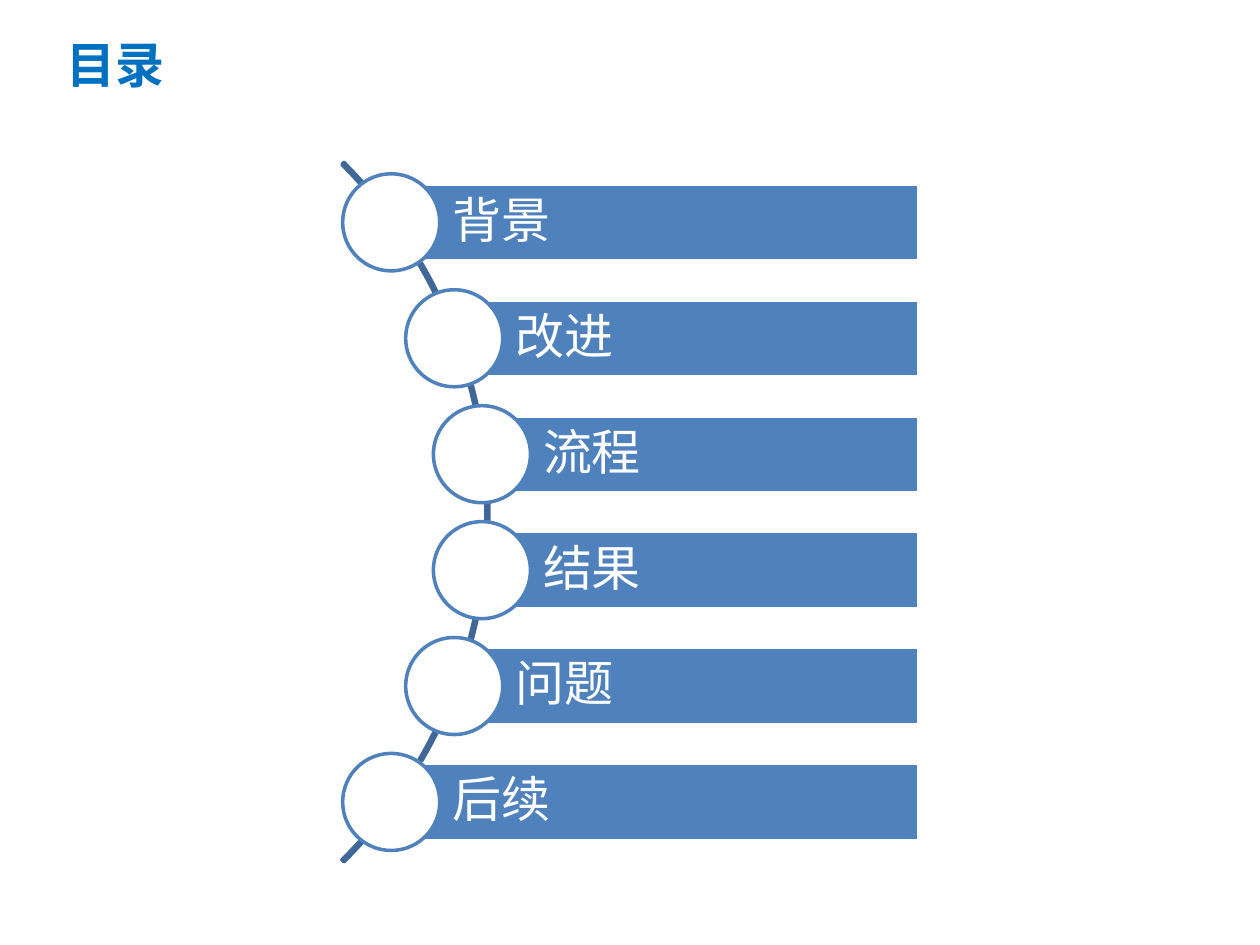
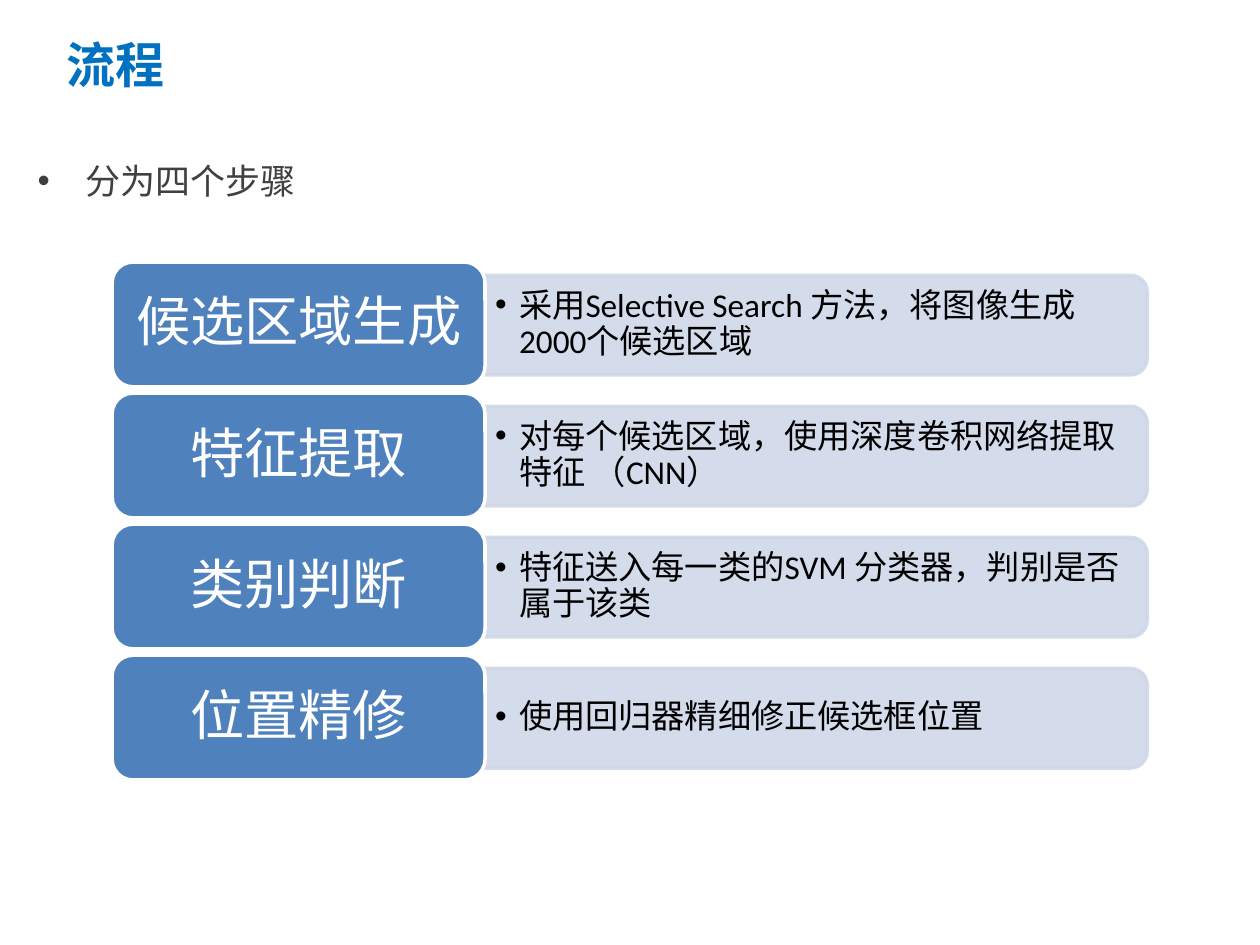
from dataclasses import dataclass
from math import sqrt

from lxml import etree
from pptx import Presentation
from pptx.dml.color import RGBColor
from pptx.enum.shapes import MSO_SHAPE
from pptx.enum.text import MSO_ANCHOR, PP_ALIGN
from pptx.oxml.ns import qn
from pptx.util import Pt

PX = 9144  # EMU in one px, 100 px to the inch
SLIDE_W, SLIDE_H = 1000, 750
COLOURS = {
    "title": "0070C0",
    "accent": "4F81BD",
    "arc": "3F6797",
    "panel": "D0D8E8",
    "body": "404040",
    "white": "FFFFFF",
    "black": "000000",
}
LATIN_FONT, BODY_FONT, CJK_FONT = "Calibri", "Arial", "Noto Sans CJK SC"
LINE_PT = 2

BAR, DISC, ARC = MSO_SHAPE.RECTANGLE, MSO_SHAPE.OVAL, MSO_SHAPE.BLOCK_ARC
LABEL, PANEL = MSO_SHAPE.ROUNDED_RECTANGLE, MSO_SHAPE.ROUND_2_SAME_RECTANGLE
MIDDLE, TOP = MSO_ANCHOR.MIDDLE, MSO_ANCHOR.TOP
LEFT, CENTER = PP_ALIGN.LEFT, PP_ALIGN.CENTER


@dataclass(frozen=True)
class Box:
    left: int
    top: int
    width: int
    height: int

    def emu(self) -> list[int]:
        return [v * PX for v in (self.left, self.top, self.width, self.height)]


@dataclass(frozen=True)
class TextStyle:
    size: int
    colour: str
    font: str = LATIN_FONT
    bold: bool = False
    align: PP_ALIGN = LEFT
    anchor: MSO_ANCHOR = MIDDLE
    insets: tuple[int, int, int, int] = (10, 5, 10, 5)
    spacing: float = 0.9
    bullet_indent: int = 0


@dataclass(frozen=True)
class Step:
    name: str
    detail: str


TITLE = TextStyle(28, "title", CJK_FONT, bold=True, spacing=1.0)
INTRO = TextStyle(20, "body", BODY_FONT, anchor=TOP, spacing=1.0, bullet_indent=38)
TOPIC = TextStyle(28, "white", insets=(49, 8, 8, 8))
STEP_NAME = TextStyle(31, "white", align=CENTER, insets=(6, 6, 6, 6))
STEP_DETAIL = TextStyle(19, "black", insets=(8, 4, 8, 4), bullet_indent=19)

TOPICS = ["背景", "改进", "流程", "结果", "问题", "后续"]
TOPIC_PITCH = 92
BAR_H, BAR_RIGHT = 61, 729
DISC_D = 77
ARC_BOX = Box(-397, 14, 785, 785)
ARC_CENTRE_X, ARC_CENTRE_Y = -4, 406
DISC_ORBIT = 389

STEPS = [
    Step("候选区域生成", "采用Selective Search 方法，将图像生成2000个候选区域"),
    Step("特征提取", "对每个候选区域，使用深度卷积网络提取特征 （CNN）"),
    Step("类别判断", "特征送入每一类的SVM 分类器，判别是否属于该类"),
    Step("位置精修", "使用回归器精细修正候选框位置"),
]
STEP_TOP, STEP_PITCH = 208, 104
LABEL_LEFT, LABEL_W, LABEL_H = 89, 296, 99
PANEL_W, PANEL_H = 526, 79
DETAIL_W, DETAIL_H = 522, 71


def rgb(name: str) -> RGBColor:
    return RGBColor.from_string(COLOURS[name])


def write(shape, text: str, style: TextStyle) -> None:
    frame = shape.text_frame
    frame.word_wrap = True
    frame.vertical_anchor = style.anchor
    (frame.margin_left, frame.margin_top,
     frame.margin_right, frame.margin_bottom) = [v * PX for v in style.insets]
    frame.text = text
    paragraph = frame.paragraphs[0]
    paragraph.alignment = style.align
    paragraph.line_spacing = style.spacing
    if style.bullet_indent:
        add_bullet(paragraph, style.bullet_indent * PX)
    for run in paragraph.runs:
        run.font.size = Pt(style.size)
        run.font.bold = style.bold
        run.font.name = style.font
        run.font.color.rgb = rgb(style.colour)
        east_asian = etree.Element(qn("a:ea"), typeface=CJK_FONT)
        run.font._element.find(qn("a:latin")).addnext(east_asian)


def add_bullet(paragraph, indent: int) -> None:
    """Hang the paragraph by indent EMU behind a round bullet."""
    properties = paragraph._p.get_or_add_pPr()
    properties.set("marL", str(indent))
    properties.set("indent", str(-indent))
    etree.SubElement(properties, qn("a:buFont"), typeface=BODY_FONT)
    etree.SubElement(properties, qn("a:buChar"), char="•")


def add_text(slide, box: Box, text: str, style: TextStyle) -> None:
    write(slide.shapes.add_textbox(*box.emu()), text, style)


def add_figure(slide, kind: MSO_SHAPE, box: Box, fill: str | None, line: str):
    figure = slide.shapes.add_shape(kind, *box.emu())
    figure.shadow.inherit = False
    if fill:
        figure.fill.solid()
        figure.fill.fore_color.rgb = rgb(fill)
    else:
        figure.fill.background()
    figure.line.color.rgb = rgb(line)
    figure.line.width = Pt(LINE_PT)
    return figure


def set_opacity(figure, percent: int) -> None:
    """Apply one opacity to both fill and outline."""
    for colour in figure._element.spPr.iter(qn("a:srgbClr")):
        etree.SubElement(colour, qn("a:alpha"), val=str(percent * 1000))


def add_titled_slide(deck, title: str):
    slide = deck.slides.add_slide(deck.slide_layouts[6])
    add_text(slide, Box(43, 17, 889, 67), title, TITLE)
    return slide


def add_topic(slide, index: int, topic: str) -> None:
    """Place a topic bar whose disc sits on the arc."""
    offset = round((index - (len(TOPICS) - 1) / 2) * TOPIC_PITCH)
    centre_x = ARC_CENTRE_X + round(sqrt(DISC_ORBIT**2 - offset**2))
    centre_y = ARC_CENTRE_Y + offset
    bar_box = Box(centre_x, centre_y - BAR_H // 2, BAR_RIGHT - centre_x, BAR_H)
    write(add_figure(slide, BAR, bar_box, "accent", "white"), topic, TOPIC)
    disc_box = Box(centre_x - DISC_D // 2, centre_y - DISC_D // 2, DISC_D, DISC_D)
    add_figure(slide, DISC, disc_box, "white", "accent")


def add_step(slide, index: int, step: Step) -> None:
    top = STEP_TOP + index * STEP_PITCH
    label_right = LABEL_LEFT + LABEL_W
    centre_x, centre_y = label_right + PANEL_W // 2, top + LABEL_H // 2 + 1
    # The panel stands upright and is turned so its round corners face right.
    panel_box = Box(centre_x - PANEL_H // 2 - 1, centre_y - PANEL_W // 2, PANEL_H, PANEL_W)
    panel = add_figure(slide, PANEL, panel_box, "panel", "panel")
    panel.rotation = 90
    set_opacity(panel, 90)
    detail_box = Box(label_right, centre_y - DETAIL_H // 2 - 1, DETAIL_W, DETAIL_H)
    add_text(slide, detail_box, step.detail, STEP_DETAIL)
    label_box = Box(LABEL_LEFT, top, LABEL_W, LABEL_H)
    write(add_figure(slide, LABEL, label_box, "accent", "white"), step.name, STEP_NAME)


def build_contents(deck) -> None:
    slide = add_titled_slide(deck, "目录")
    arc = add_figure(slide, ARC, ARC_BOX, None, "arc")
    # Start and end angles in 100000ths of 1/60000 degree, then the band width.
    for position, value in enumerate((189, 27, 0.003)):
        arc.adjustments[position] = value
    for index, topic in enumerate(TOPICS):
        add_topic(slide, index, topic)


def build_process(deck) -> None:
    slide = add_titled_slide(deck, "流程")
    add_text(slide, Box(20, 122, 874, 47), "分为四个步骤", INTRO)
    for index, step in enumerate(STEPS):
        add_step(slide, index, step)


def main() -> None:
    deck = Presentation()
    deck.slide_width, deck.slide_height = SLIDE_W * PX, SLIDE_H * PX
    build_contents(deck)
    build_process(deck)
    deck.save("out.pptx")


if __name__ == "__main__":
    main()
